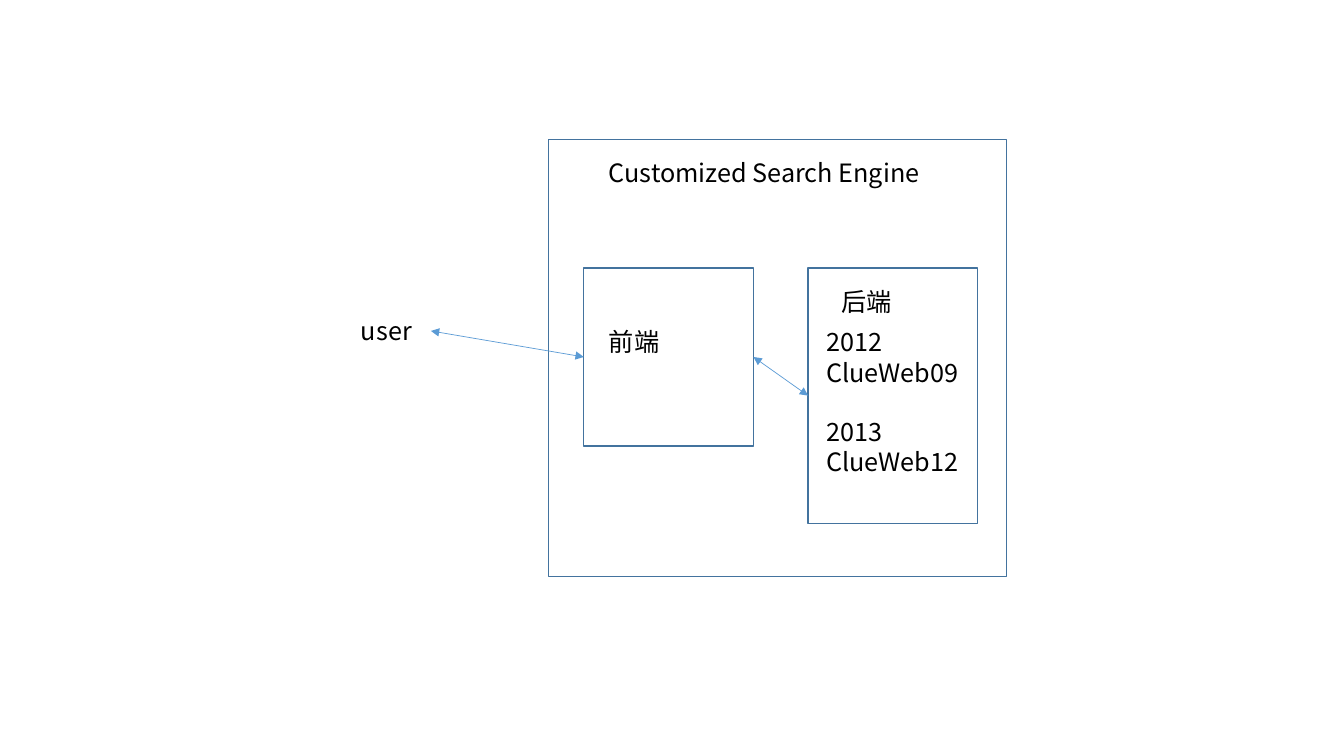
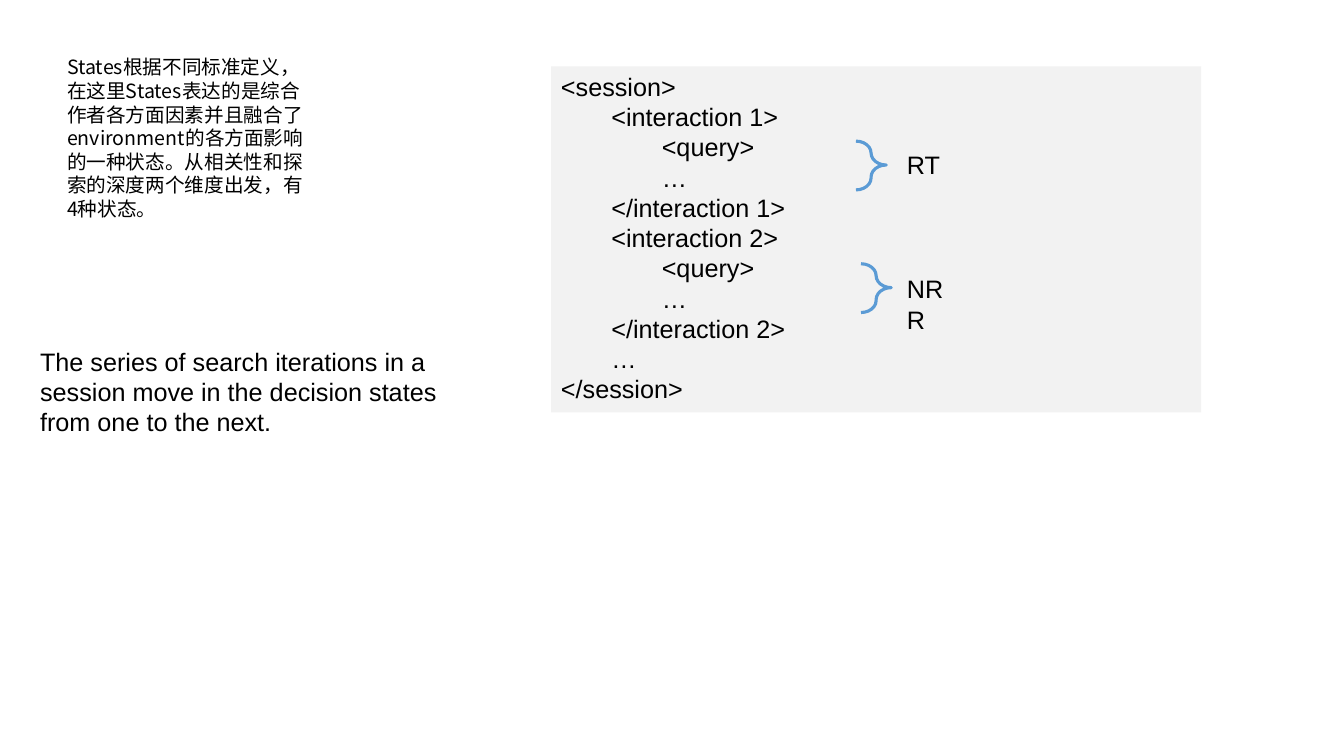
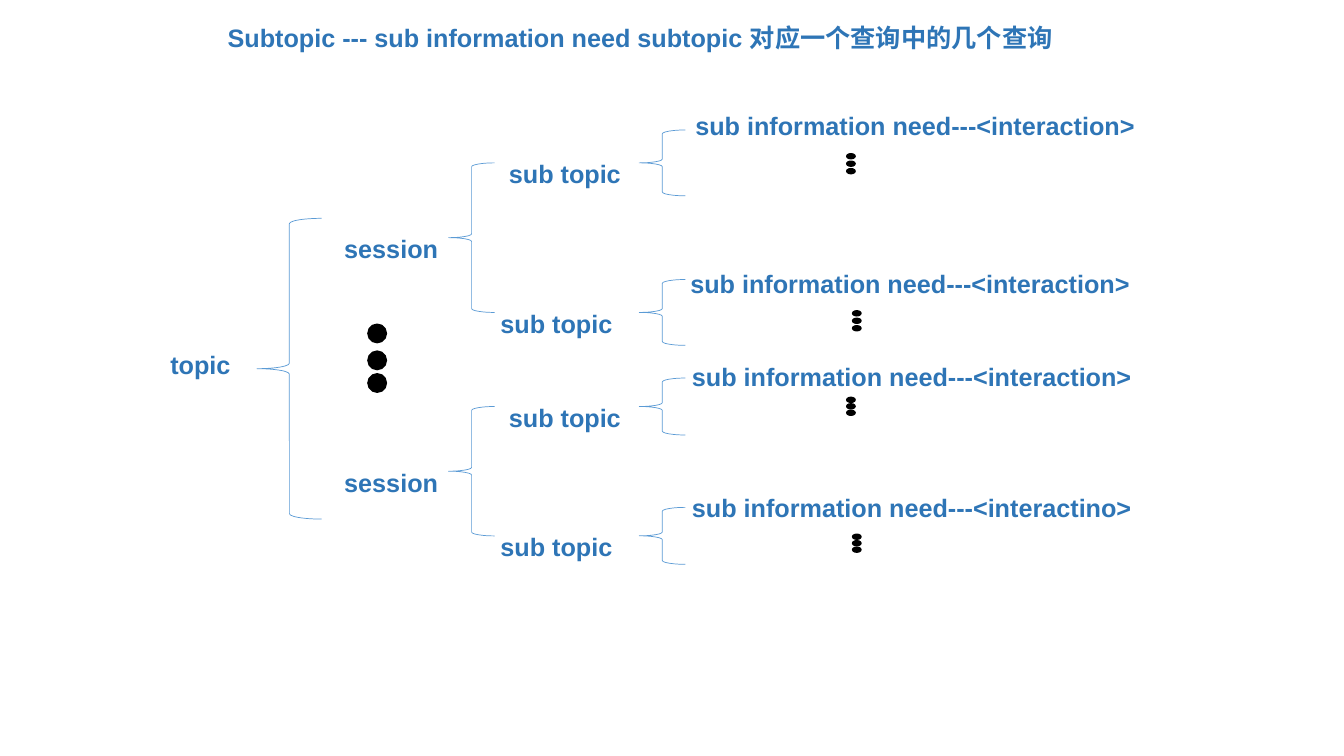
from pptx import Presentation
from pptx.dml.color import RGBColor
from pptx.enum.shapes import MSO_CONNECTOR, MSO_SHAPE
from pptx.enum.text import MSO_ANCHOR, PP_ALIGN
from pptx.oxml.ns import qn
from pptx.util import Inches, Pt
from lxml import etree

RECT, OVAL, BRACE = MSO_SHAPE.RECTANGLE, MSO_SHAPE.OVAL, MSO_SHAPE.LEFT_BRACE
LINE = MSO_CONNECTOR.STRAIGHT
TOP, LEFT = MSO_ANCHOR.TOP, PP_ALIGN.LEFT
LAYOUT_TITLE, LAYOUT_BLANK = 5, 6
SIDE_LEFT, SIDE_RIGHT = 1, 3

# Shared style; the grid has 160 columns and 90 rows
WIDE, HIGH = Inches(13.33), Inches(7.5)
COLS, ROWS = 160, 90
SANS, HAN = "Arial", "Noto Sans CJK SC"
BLACK, WHITE, GREY = "000000", "FFFFFF", "F2F2F2"
EDGE, BLUE, DEEP = "43739E", "5B9BD5", "2E75B6"
ROW = 4.8  # height of a one-line label


def paint(hue):
    return RGBColor.from_string(hue)


class Deck:
    def __init__(self):
        self.file = Presentation()
        self.file.slide_width, self.file.slide_height = WIDE, HIGH
        self.slide = None

    def page(self, layout=LAYOUT_BLANK):
        self.slide = self.file.slides.add_slide(self.file.slide_layouts[layout])
        fill = self.slide.background.fill
        fill.solid()
        fill.fore_color.rgb = paint(WHITE)

    def area(self, x, y, w, h):
        return (round(x * WIDE / COLS), round(y * HIGH / ROWS),
                round(w * WIDE / COLS), round(h * HIGH / ROWS))

    def text(self, shape, lines, face=SANS, size=18, hue=BLACK, bold=False):
        frame = shape.text_frame
        frame.word_wrap, frame.vertical_anchor = True, TOP
        for i, line in enumerate(lines):
            para = frame.add_paragraph() if i else frame.paragraphs[0]
            para.alignment = LEFT
            run = para.add_run()
            run.text = line
            font = run.font
            font.name, font.size, font.bold = face, Pt(size), bold
            font.color.rgb = paint(hue)
            asian = etree.SubElement(run._r.get_or_add_rPr(), qn("a:ea"))
            asian.set("typeface", HAN)

    def title(self, text, x, y, w, h=ROW):
        shape = self.slide.shapes.title
        shape.left, shape.top, shape.width, shape.height = self.area(x, y, w, h)
        self.text(shape, [text], hue=DEEP, bold=True)

    def label(self, text, x, y, w, h=ROW, **style):
        shape = self.slide.shapes.add_textbox(*self.area(x, y, w, h))
        self.text(shape, [text], **style)
        return shape

    def shape(self, kind, x, y, w, h, fill=None, line=None, width=1):
        shape = self.slide.shapes.add_shape(kind, *self.area(x, y, w, h))
        shape.shadow.inherit = False
        if fill:
            shape.fill.solid()
            shape.fill.fore_color.rgb = paint(fill)
        else:
            shape.fill.background()
        if line:
            shape.line.color.rgb = paint(line)
            shape.line.width = Pt(width)
        else:
            shape.line.fill.background()
        return shape

    def brace(self, x, y, w, h, width=0.5):
        return self.shape(BRACE, x, y, w, h, line=BLUE, width=width)

    def dots(self, x, tops, w, h):
        for y in tops:
            self.shape(OVAL, x, y, w, h, fill=BLACK, line=BLACK)

    def arrow(self, start, end):
        link = self.slide.shapes.add_connector(LINE, 0, 0, 0, 0)
        link.begin_connect(start, SIDE_RIGHT)
        link.end_connect(end, SIDE_LEFT)
        link.line.color.rgb = paint(BLUE)
        link.line.width = Pt(0.5)
        props = link._element.spPr
        for tip in ("a:headEnd", "a:tailEnd"):
            etree.SubElement(props.find(qn("a:ln")), qn(tip)).set("type", "triangle")
        etree.SubElement(props, qn("a:effectLst"))


def engine(deck):
    deck.page()
    # Engine with its two parts
    deck.shape(RECT, 65.3, 16.6, 54.5, 52, line=EDGE)
    front = deck.shape(RECT, 69.5, 31.9, 20.2, 21.2, line=EDGE)
    back = deck.shape(RECT, 96.2, 31.9, 20.2, 30.4, line=EDGE)
    # Labels
    user = deck.label("user", 41.8, 37, 9.5, face=HAN)
    for text, x, y, w in (("Customized Search Engine", 71.3, 18.1, 42.5),
                          ("前端", 71.3, 38.3, 9.7),
                          ("后端", 99, 33.5, 9.7),
                          ("2012 ClueWeb09", 97.2, 38.3, 19.2),
                          ("2013 ClueWeb12", 97.2, 49, 19.2)):
        deck.label(text, x, y, w, face=HAN)
    # Links
    deck.arrow(front, back)
    deck.arrow(user, front)


def states(deck):
    deck.page()
    # Notes on the left
    deck.label("The series of search iterations in a session move in the decision "
               "states from one to the next.", 3.6, 40.6, 55.8, 12.1)
    deck.label("States根据不同标准定义，在这里States表达的是综合作者各方面因素并且融合了"
               "environment的各方面影响的一种状态。从相关性和探索的深度两个维度出发，"
               "有4种状态。", 6.8, 6, 31.2, 21, face=HAN, size=14)
    # Session markup
    code = ["<session>"]
    for n in (1, 2):
        code += [f"\t<interaction {n}>", "\t\t<query>", "\t\t…", f"\t</interaction {n}>"]
    code += ["\t…", "</session>"]
    deck.text(deck.shape(RECT, 65.6, 7.9, 77.4, 41.2, fill=GREY), code)
    # Decision states
    for text, x, y, top in (("RT", 101.9, 16.8, 17.2), ("NRR", 102.5, 31.4, 32)):
        brace = deck.brace(x, y, 3.6, 5.8, width=2.25)
        brace.rotation = 180
        brace.adjustments[0], brace.adjustments[1] = 0.77, 0.51
        deck.label(text, 106.8, top, 7.1)


def topics(deck):
    deck.page(LAYOUT_TITLE)
    deck.title("Subtopic --- sub information need subtopic 对应一个查询中的几个查询",
               25.9, 2, 114.4)
    bold = {"hue": DEEP, "bold": True}
    need = "sub information need---"
    # Root
    deck.label("topic", 19.1, 41, 13.7, **bold)
    deck.brace(30.6, 26, 7.7, 35.8)
    deck.dots(43.8, (38.6, 41.8, 44.5), 2.2, 2.2)
    # Each session: top, height, then place and tag of its two needs
    trees = ((19.4, 17.8, ((81.6, 12.6, "<interaction>"), (81, 31.3, "<interaction>"))),
             (48.4, 15.4, ((81.2, 42.4, "<interaction>"), (81.2, 58, "<interactino>"))))
    # Each branch: column of subtopic, column of dots, rise of dots
    forks = ((59.4, 100.8, 1.1), (58.4, 101.5, 0.2))
    for top, high, needs in trees:
        deck.label("session", 39.8, top + high / 2 - 1.1, 13.6, **bold)
        deck.brace(53.4, top, 5.5, high)
        small, step = 0.44 * high, 0.05 * high
        for i, (x, y, tag) in enumerate(needs):
            sub, dot, rise = forks[i]
            mid = top + i * high
            deck.brace(76.1, mid - small / 2, 5.5, small)
            deck.label("sub topic", sub, mid - 1.1, 18.5, **bold)
            deck.label(need + tag, x, y, 63, **bold)
            deck.dots(dot, [mid - rise + n * step for n in range(3)], 1, 0.6)


def main():
    deck = Deck()
    for build in (engine, states, topics):
        build(deck)
    deck.file.save("out.pptx")


if __name__ == "__main__":
    main()
